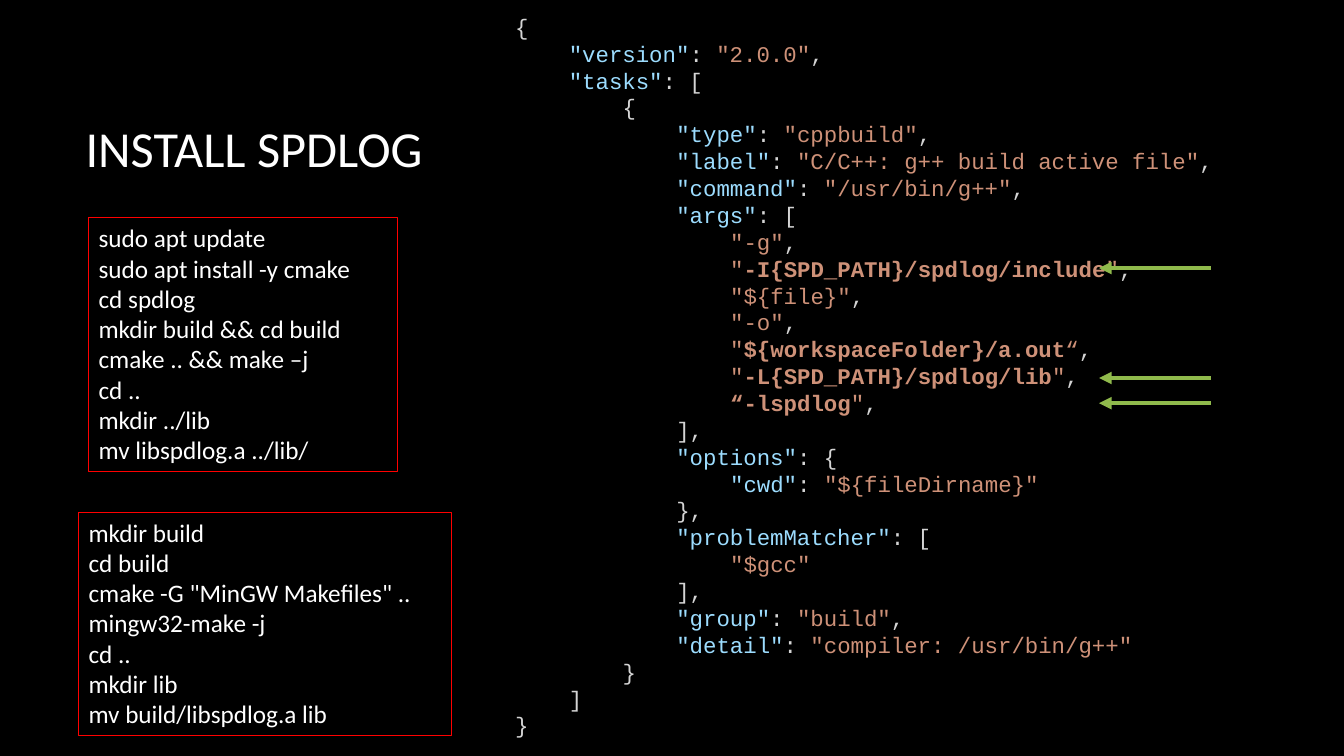
from dataclasses import dataclass

from lxml import etree
from pptx import Presentation
from pptx.dml.color import RGBColor
from pptx.enum.shapes import MSO_CONNECTOR, MSO_SHAPE
from pptx.enum.text import MSO_ANCHOR, PP_ALIGN
from pptx.oxml.ns import qn
from pptx.util import Inches, Pt

STRAIGHT = MSO_CONNECTOR.STRAIGHT
RECTANGLE = MSO_SHAPE.RECTANGLE
TOP, MIDDLE = MSO_ANCHOR.TOP, MSO_ANCHOR.MIDDLE
LEFT = PP_ALIGN.LEFT

BLACK, WHITE, RED, GREEN = "000000", "FFFFFF", "FF0000", "90BA4C"
PUNCTUATION, KEY, VALUE = "D4D4D4", "9CDCFE", "CE9178"
CODE_SIZE = 16
INDENT = Pt(4 * 0.6 * CODE_SIZE)


@dataclass(frozen=True)
class Box:
    left: float
    top: float
    width: float
    height: float

    def lengths(self) -> list:
        return [Inches(v) for v in (self.left, self.top, self.width, self.height)]


@dataclass(frozen=True)
class CommandList:
    box: Box
    commands: tuple[str, ...]


@dataclass(frozen=True)
class CodeLine:
    level: int
    key: str = ""
    value: str = ""
    end: str = ""
    bold: bool = False
    opening: str = '"'
    closing: str = '"'

    def pieces(self) -> list[tuple[str, str, bool]]:
        parts = []
        if self.key:
            parts += [(f'"{self.key}"', KEY, False), (": ", PUNCTUATION, False)]
        if self.value:
            parts += [(self.opening, VALUE, False), (self.value, VALUE, self.bold),
                      (self.closing, VALUE, False)]
        parts.append((self.end, PUNCTUATION, False))
        return [part for part in parts if part[0]]


COMMAND_LISTS = (
    CommandList(Box(0.88, 2.16, 3.06, 2.52), (
        "sudo apt update", "sudo apt install -y cmake", "cd spdlog",
        "mkdir build && cd build", "cmake .. && make –j", "cd ..",
        "mkdir ../lib", "mv libspdlog.a ../lib/")),
    CommandList(Box(0.78, 5.08, 3.7, 2.22), (
        "mkdir build", "cd build", 'cmake -G "MinGW Makefiles" ..',
        "mingw32-make -j", "cd ..", "mkdir lib", "mv build/libspdlog.a lib")),
)

TASKS_FILE = (
    CodeLine(0, end="{"),
    CodeLine(1, "version", "2.0.0", ","),
    CodeLine(1, "tasks", end="["),
    CodeLine(2, end="{"),
    CodeLine(3, "type", "cppbuild", ","),
    CodeLine(3, "label", "C/C++: g++ build active file", ","),
    CodeLine(3, "command", "/usr/bin/g++", ","),
    CodeLine(3, "args", end="["),
    CodeLine(4, value="-g", end=","),
    CodeLine(4, value="-I{SPD_PATH}/spdlog/include", end=",", bold=True),
    CodeLine(4, value="${file}", end=","),
    CodeLine(4, value="-o", end=","),
    CodeLine(4, value="${workspaceFolder}/a.out", end=",", bold=True, closing="“"),
    CodeLine(4, value="-L{SPD_PATH}/spdlog/lib", end=",", bold=True),
    CodeLine(4, value="“-lspdlog", end=",", bold=True, opening=""),
    CodeLine(3, end="],"),
    CodeLine(3, "options", end="{"),
    CodeLine(4, "cwd", "${fileDirname}"),
    CodeLine(3, end="},"),
    CodeLine(3, "problemMatcher", end="["),
    CodeLine(4, value="$gcc"),
    CodeLine(3, end="],"),
    CodeLine(3, "group", "build", ","),
    CodeLine(3, "detail", "compiler: /usr/bin/g++"),
    CodeLine(2, end="}"),
    CodeLine(1, end="]"),
    CodeLine(0, end="}"),
)

ARROW_HEIGHTS = (2.66, 3.75, 4.0)


def color(hex_value: str) -> RGBColor:
    return RGBColor.from_string(hex_value)


def apply(target, formats: dict) -> None:
    for attribute, value in formats.items():
        setattr(target, attribute, value)


def add_run(paragraph, text: str, size: float, font: str, hex_value: str,
            bold: bool = False) -> None:
    run = paragraph.add_run()
    run.text = text
    apply(run.font, {"size": Pt(size), "name": font, "bold": bold})
    run.font.color.rgb = color(hex_value)


def paragraphs(frame, count: int) -> list:
    return [frame.paragraphs[0]] + [frame.add_paragraph() for _ in range(count - 1)]


def add_title(slide, text: str) -> None:
    frame = slide.shapes.add_textbox(*Box(0.75, 0.67, 11.08, 1.59).lengths()).text_frame
    apply(frame, {"word_wrap": True, "vertical_anchor": MIDDLE})
    add_run(frame.paragraphs[0], text, 36, "Calibri", WHITE)


def add_code(slide, lines: tuple[CodeLine, ...]) -> None:
    frame = slide.shapes.add_textbox(*Box(5.01, 0.08, 8.19, 7.64).lengths()).text_frame
    apply(frame, {"word_wrap": True, "vertical_anchor": TOP})
    for paragraph, line in zip(paragraphs(frame, len(lines)), lines):
        paragraph.line_spacing = Pt(1.2 * CODE_SIZE)
        properties = paragraph._p.get_or_add_pPr()
        properties.set("marL", str(line.level * INDENT))
        properties.set("indent", "0")
        for text, hex_value, bold in line.pieces():
            add_run(paragraph, text, CODE_SIZE, "Courier New", hex_value, bold)


def add_commands(slide, listing: CommandList) -> None:
    panel = slide.shapes.add_shape(RECTANGLE, *listing.box.lengths())
    panel.shadow.inherit = False
    panel.fill.background()
    panel.line.color.rgb = color(RED)
    panel.line.width = Pt(0.75)
    frame = panel.text_frame
    apply(frame, {"word_wrap": True, "vertical_anchor": TOP})
    for paragraph, command in zip(paragraphs(frame, len(listing.commands)),
                                  listing.commands):
        paragraph.alignment = LEFT
        add_run(paragraph, command, 18, "Calibri", WHITE)


def add_arrow(slide, height: float) -> None:
    arrow = slide.shapes.add_connector(STRAIGHT, Inches(12.01), Inches(height),
                                       Inches(10.9), Inches(height))
    arrow.line.color.rgb = color(GREEN)
    arrow.line.width = Pt(3)
    etree.SubElement(arrow.line._get_or_add_ln(), qn("a:tailEnd"), type="triangle")
    etree.SubElement(arrow._element.spPr, qn("a:effectLst"))


def main() -> None:
    presentation = Presentation()
    apply(presentation, {"slide_width": Inches(13.33), "slide_height": Inches(7.5)})
    slide = presentation.slides.add_slide(presentation.slide_layouts[6])
    slide.background.fill.solid()
    slide.background.fill.fore_color.rgb = color(BLACK)
    add_title(slide, "INSTALL SPDLOG")
    add_code(slide, TASKS_FILE)
    for listing in COMMAND_LISTS:
        add_commands(slide, listing)
    for height in ARROW_HEIGHTS:
        add_arrow(slide, height)
    presentation.save("out.pptx")


if __name__ == "__main__":
    main()
